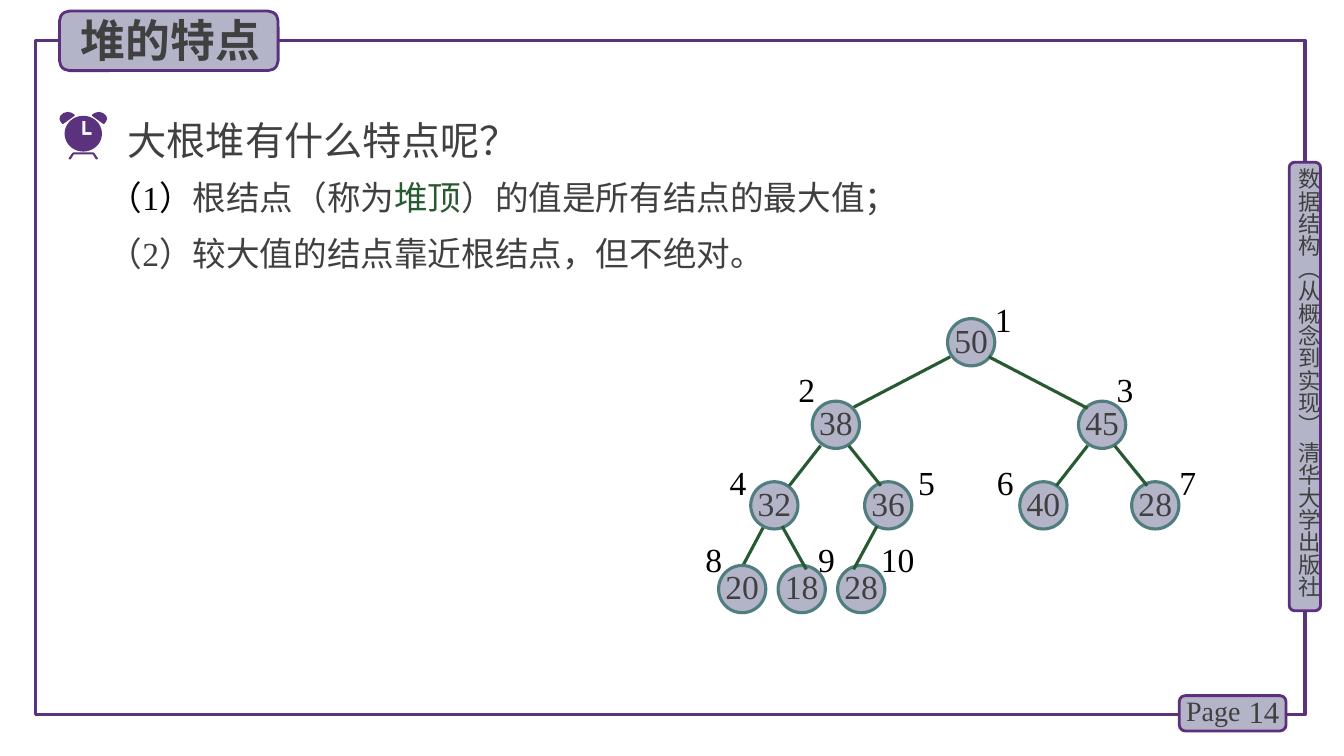
"""Build the slide on the properties of a max heap, with its tree diagram."""
from math import cos, pi, sin

from lxml.etree import SubElement
from pptx import Presentation
from pptx.dml.color import RGBColor
from pptx.enum.shapes import MSO_CONNECTOR, MSO_SHAPE
from pptx.enum.text import MSO_ANCHOR, PP_ALIGN
from pptx.oxml.ns import qn
from pptx.util import Cm, Pt

PURPLE = RGBColor(0x5A, 0x32, 0x7D)
BADGE_LINE = RGBColor(0x5C, 0x30, 0x7D)
LILAC = RGBColor(0xB4, 0xB4, 0xC8)
TEAL = RGBColor(0x50, 0x7D, 0x7D)
GREEN = RGBColor(0x28, 0x5A, 0x32)
GREY = RGBColor(0x40, 0x40, 0x40)
BLACK = RGBColor(0x00, 0x00, 0x00)
LATIN_FONT = "Times New Roman"
CHINESE_FONT = "Noto Sans CJK SC"

NODE_SIZE = 1.19
NODE_TOPS = [8.03, 10.11, 12.14, 14.25]
LABEL_TOPS = [7.52, 9.3, 11.63, 13.59]
EDGE_ENDS = [(8.99, 10.29), (11.23, 12.24), (13.26, 14.35)]
HEAP_VALUES = [50, 38, 45, 32, 36, 40, 28, 20, 18, 28]
NODE_LEFTS = [23.88, 20.47, 27.18, 18.92, 21.79, 25.7, 28.52, 18.11, 19.61, 21.11]
LABEL_LEFTS = [25.07, 20.12, 28.14, 18.39, 23.14, 25.12, 29.72, 17.78, 20.62, 22.2]
EDGES = {
    2: (23.95, 21.46), 3: (24.92, 27.41), 4: (20.68, 19.89),
    5: (21.39, 22.2), 6: (27.41, 26.62), 7: (28.09, 28.91),
    8: (19.25, 18.67), 9: (19.71, 20.32), 10: (22.1, 21.51),
}
EDGES_BEHIND_NODES = (2, 8)

CLOCK_CENTRE = (2.1, 3.37)
CLOCK_RADII = (0.47, 0.45)
CLOCK_BELL = [(1.7, 2.82), (1.6, 2.85), (1.52, 2.92), (1.5, 3), (1.53, 3.07),
              (1.57, 3.12), (1.6, 3.12), (1.88, 2.92), (1.88, 2.89), (1.8, 2.84)]
CLOCK_LEG = [(1.86, 3.89), (1.78, 4.02), (1.75, 4.02), (1.73, 3.99),
             (1.82, 3.86), (1.85, 3.84)]
CLOCK_HANDS = [(2.08, 3.05), (2.15, 3.05), (2.15, 3.33), (2.31, 3.33),
               (2.31, 3.4), (2.08, 3.4)]


def format_run(run, size, color, font=LATIN_FONT, bold=False):
    """Give a run its size, colour and Latin and Chinese fonts."""
    run.font.size = Pt(size)
    run.font.bold = bold
    run.font.color.rgb = color
    run.font.name = font
    properties = run._r.get_or_add_rPr()
    SubElement(properties, qn("a:ea")).set("typeface", CHINESE_FONT)


def clear_margins(text_frame):
    """Set all four margins of a text frame to zero."""
    text_frame.margin_left = text_frame.margin_right = 0
    text_frame.margin_top = text_frame.margin_bottom = 0


def add_text(slide, box, pieces, size, font=LATIN_FONT):
    """Add a text box whose one paragraph holds (text, colour) pieces."""
    text_frame = slide.shapes.add_textbox(*map(Cm, box)).text_frame
    text_frame.word_wrap = True
    for text, color in pieces:
        run = text_frame.paragraphs[0].add_run()
        run.text = text
        format_run(run, size, color, font)
    return text_frame


def add_outlined(slide, kind, box, fill, line, width):
    """Add a preset shape with an outline and an optional fill."""
    shape = slide.shapes.add_shape(kind, *map(Cm, box))
    shape.shadow.inherit = False
    if fill is None:
        shape.fill.background()
    else:
        shape.fill.solid()
        shape.fill.fore_color.rgb = fill
    shape.line.color.rgb = line
    shape.line.width = Pt(width)
    return shape


def add_badge(slide, *box):
    """Add a rounded lilac badge."""
    return add_outlined(slide, MSO_SHAPE.ROUNDED_RECTANGLE, box, LILAC, BADGE_LINE, 2)


def add_outline(slide, *contours):
    """Add a purple freeform made of one or more closed contours."""
    contours = [[(Cm(x), Cm(y)) for x, y in contour] for contour in contours]
    builder = slide.shapes.build_freeform(*contours[0][0])
    builder.add_line_segments(contours[0][1:], close=True)
    for contour in contours[1:]:
        builder.move_to(*contour[0])
        builder.add_line_segments(contour[1:], close=True)
    shape = builder.convert_to_shape()
    shape.shadow.inherit = False
    shape.fill.solid()
    shape.fill.fore_color.rgb = PURPLE
    shape.line.fill.background()


def mirror(points):
    """Reflect points across the vertical axis of the clock."""
    return [(2 * CLOCK_CENTRE[0] - x, y) for x, y in reversed(points)]


def add_clock(slide):
    """Draw the alarm clock from its legs, bells and face."""
    face = [(CLOCK_CENTRE[0] + CLOCK_RADII[0] * cos(step * pi / 30),
             CLOCK_CENTRE[1] + CLOCK_RADII[1] * sin(step * pi / 30))
            for step in range(60)]
    add_outline(slide, CLOCK_LEG + mirror(CLOCK_LEG))
    add_outline(slide, CLOCK_BELL)
    add_outline(slide, mirror(CLOCK_BELL))
    add_outline(slide, face, CLOCK_HANDS)


def level_of(index):
    """Return the tree level of a one-based heap index."""
    return index.bit_length() - 1


def add_edge(slide, child):
    """Connect a heap node to its parent."""
    start_x, end_x = EDGES[child]
    start_y, end_y = EDGE_ENDS[level_of(child) - 1]
    connector = slide.shapes.add_connector(
        MSO_CONNECTOR.STRAIGHT, Cm(start_x), Cm(start_y), Cm(end_x), Cm(end_y))
    connector.line.color.rgb = GREEN
    connector.line.width = Pt(2.25)
    SubElement(connector._element.spPr, qn("a:effectLst"))


def add_node(slide, value, left, top):
    """Draw one heap node with its value."""
    box = (left, top, NODE_SIZE, NODE_SIZE)
    node = add_outlined(slide, MSO_SHAPE.OVAL, box, LILAC, TEAL, 2.25)
    text_frame = node.text_frame
    clear_margins(text_frame)
    text_frame.word_wrap = False
    text_frame.vertical_anchor = MSO_ANCHOR.MIDDLE
    paragraph = text_frame.paragraphs[0]
    paragraph.text = str(value)
    paragraph.alignment = PP_ALIGN.CENTER
    paragraph.line_spacing = Pt(25)
    format_run(paragraph.runs[0], 24, GREY)


def add_heap(slide):
    """Draw the heap tree with its edges, values and index labels."""
    for child in EDGES_BEHIND_NODES:
        add_edge(slide, child)
    for index, (value, left) in enumerate(zip(HEAP_VALUES, NODE_LEFTS), 1):
        add_node(slide, value, left, NODE_TOPS[level_of(index)])
    for child in EDGES:
        if child not in EDGES_BEHIND_NODES:
            add_edge(slide, child)
    for index, left in enumerate(LABEL_LEFTS, 1):
        box = (left, LABEL_TOPS[level_of(index)], 1.04, 1.02)
        clear_margins(add_text(slide, box, [(str(index), BLACK)], 24))


def add_title(slide, text):
    """Place the title on its badge."""
    badge = add_badge(slide, 1.5, 0.28, 5.51, 1.5)
    title = slide.shapes.title
    badge._element.addnext(title._element)
    title.left, title.top, title.width, title.height = map(Cm, (1.78, 0.18, 5.3, 1.63))
    title.text_frame.text = text
    title.text_frame.vertical_anchor = MSO_ANCHOR.MIDDLE
    paragraph = title.text_frame.paragraphs[0]
    paragraph.alignment = PP_ALIGN.LEFT
    format_run(paragraph.runs[0], 32, GREY, CHINESE_FONT, bold=True)


def add_page_frame(slide):
    """Draw the page border, the side banner and the page number."""
    add_outlined(slide, MSO_SHAPE.RECTANGLE, (0.89, 1.02, 32, 16.99), None, PURPLE, 2.25)
    add_badge(slide, 32.49, 4.09, 0.79, 11.3)
    banner = add_text(slide, (32.64, 4.24, 0.69, 11.4),
                      [("数据结构（从概念到实现） 清华大学出版社", GREY)], 16, CHINESE_FONT)
    clear_margins(banner)
    banner._txBody.bodyPr.set("vert", "eaVert")
    add_badge(slide, 29.72, 17.53, 2.69, 0.89)
    number = add_text(slide, (30.99, 17.42, 1.5, 1.02), [("14", GREY)], 22)
    number.vertical_anchor = MSO_ANCHOR.MIDDLE
    number.paragraphs[0].alignment = PP_ALIGN.RIGHT
    add_text(slide, (29.64, 17.35, 1.98, 1.12), [("Page", GREY)], 20)


def main():
    """Build and save the presentation."""
    presentation = Presentation()
    presentation.slide_width, presentation.slide_height = Cm(33.87), Cm(19.05)
    slide = presentation.slides.add_slide(presentation.slide_layouts[5])
    add_page_frame(slide)
    add_title(slide, "堆的特点")
    add_clock(slide)
    question = add_text(slide, (2.97, 2.57, 11.13, 1.68), [("大根堆有什么特点呢？", GREY)], 28)
    question.paragraphs[0].line_spacing = Pt(40)
    add_text(slide, (2.49, 4.34, 20.88, 1.27), [
        ("（1）", BLACK), ("根结点（称为", GREY), ("堆顶", GREEN),
        ("）的值是所有结点的最大值；", GREY)], 24)
    add_text(slide, (2.49, 5.74, 17.5, 1.27), [("（2）较大值的结点靠近根结点，但不绝对。", GREY)], 24)
    add_heap(slide)
    presentation.save("out.pptx")


if __name__ == "__main__":
    main()
